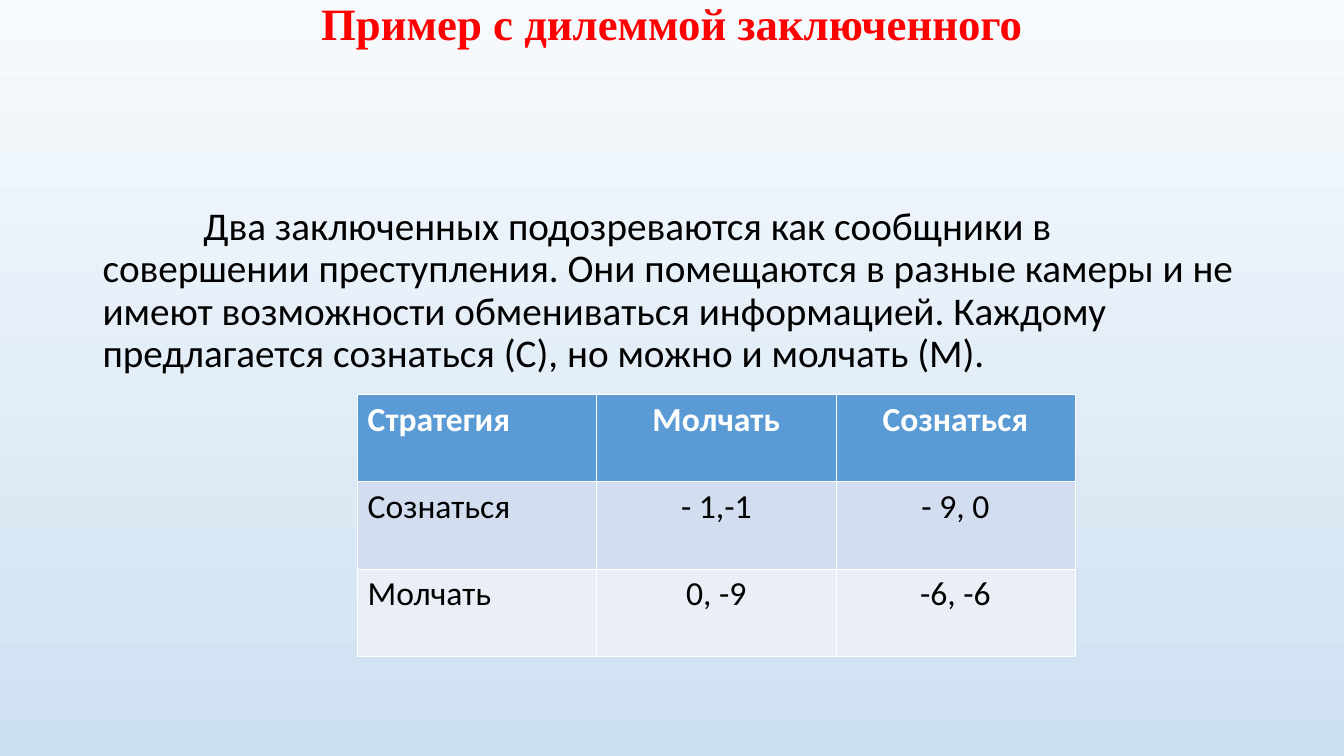
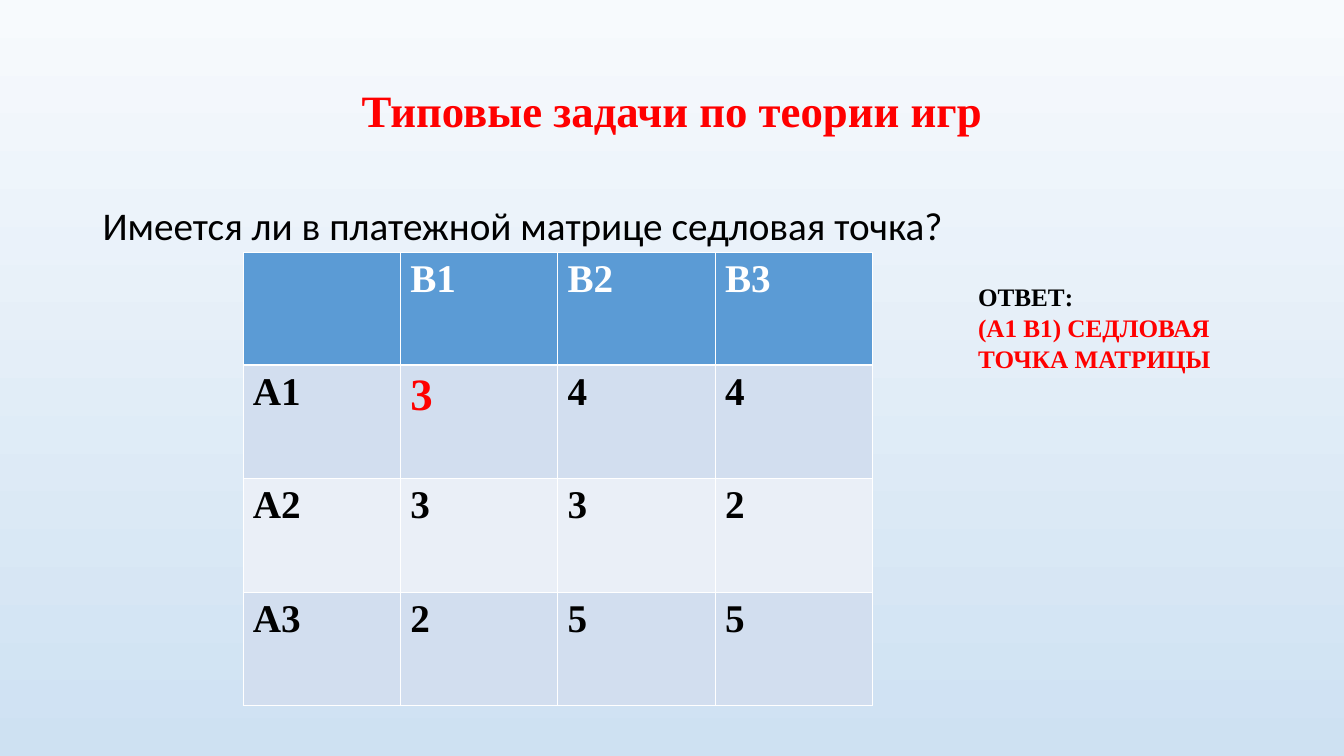
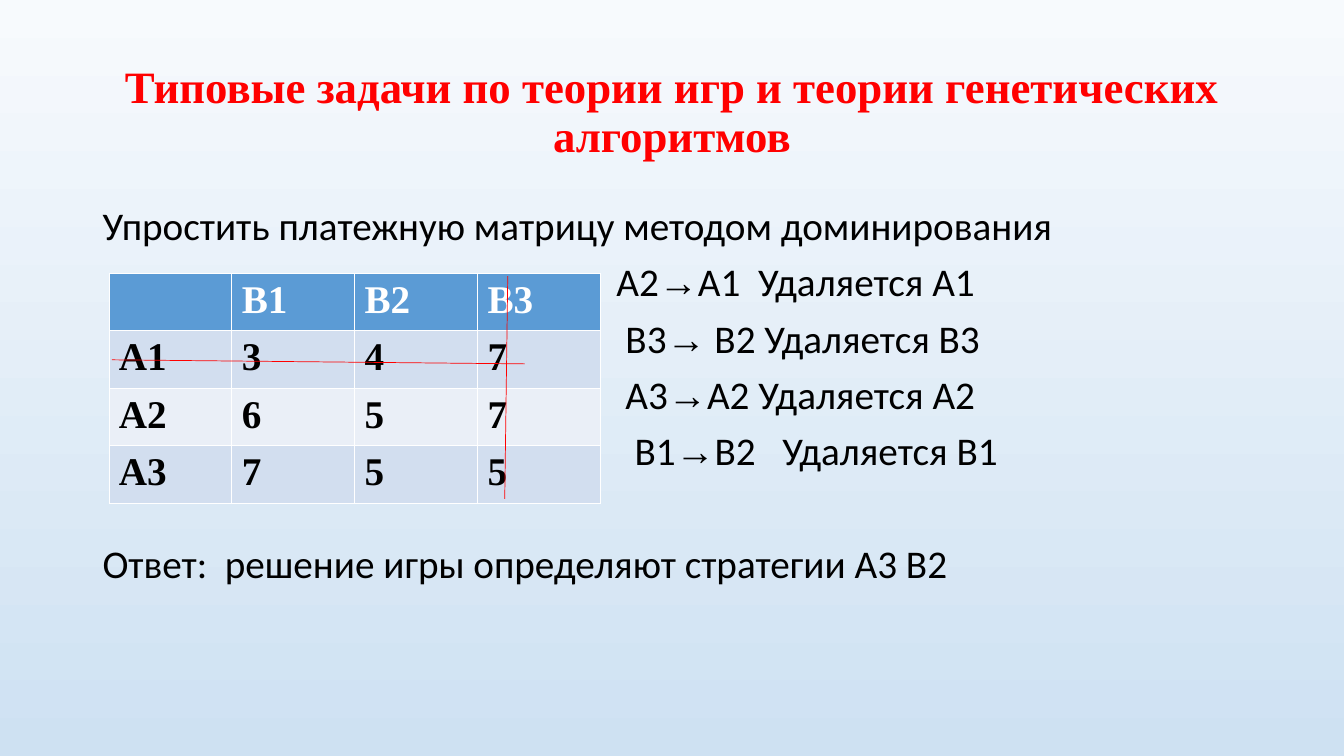
from lxml.etree import SubElement
from pptx import Presentation
from pptx.dml.color import RGBColor
from pptx.enum.shapes import MSO_CONNECTOR as Connector
from pptx.enum.text import MSO_ANCHOR as Anchor, PP_ALIGN as Align
from pptx.oxml.ns import qn
from pptx.util import Inches, Pt

RED = RGBColor(0xFF, 0x00, 0x00)
BLACK = RGBColor(0x00, 0x00, 0x00)
WHITE = RGBColor(0xFF, 0xFF, 0xFF)
HEADER_BLUE = RGBColor(0x5B, 0x9B, 0xD5)
BAND_DARK = RGBColor(0xD2, 0xDE, 0xEF)
BAND_LIGHT = RGBColor(0xEA, 0xEF, 0xF7)
SKY_TOP = RGBColor(0xF7, 0xFA, 0xFD)
SKY_BOTTOM = RGBColor(0xCE, 0xE1, 0xF2)

SERIF, SANS, SYMBOL = "Times New Roman", "Calibri", "Arial"
THIN, THICK = 0.45, 1.47
LEFT, WIDTH = 0.92, 11.5
TITLE_AREA = (LEFT, 0.4, WIDTH, 1.45)
BODY_AREA = (LEFT, 2, WIDTH, 4.76)
WIDE_GAP, WIDER_GAP = 6.3, 12.6

DILEMMA_TITLE = "Пример с дилеммой заключенного"
DILEMMA_TEXT = (
    "Два заключенных подозреваются как сообщники в совершении преступления. "
    "Они помещаются в разные камеры и не имеют возможности обмениваться "
    "информацией. Каждому предлагается сознаться (С), но можно и молчать (М)."
)
DILEMMA_ROWS = [
    ("Стратегия", "Молчать", "Сознаться"),
    ("Сознаться", "- 1,-1", "- 9, 0"),
    ("Молчать", "0, -9", "-6, -6"),
]

SADDLE_TITLE = "Типовые задачи по теории игр"
SADDLE_QUESTION = "Имеется ли в платежной матрице седловая точка?"
SADDLE_ROWS = [
    ("", "В1", "В2", "В3"),
    ("А1", "3", "4", "4"),
    ("А2", "3", "3", "2"),
    ("А3", "2", "5", "5"),
]
SADDLE_ANSWER = [("ОТВЕТ:", BLACK), ("(А1 В1) СЕДЛОВАЯ ТОЧКА МАТРИЦЫ", RED)]

DOMINANCE_TITLE = "Типовые задачи по теории игр и теории генетических алгоритмов"
DOMINANCE_TASK = "Упростить платежную матрицу методом доминирования"
DOMINANCE_ROWS = [
    ("", "В1", "В2", "В3"),
    ("А1", "3", "4", "7"),
    ("А2", "6", "5", "7"),
    ("А3", "7", "5", "5"),
]
DOMINANCE_STEPS = [
    ("А2", "A1", WIDE_GAP, "Удаляется А1", 5.1),
    ("В3", " B2", 0, "Удаляется B3", 5.19),
    ("A3", "A2", 0, "Удаляется А2", 5.19),
    ("B1", "B2", WIDER_GAP, "Удаляется B1", 5.28),
]
DOMINANCE_ANSWER = ("Ответ:", "решение игры определяют стратегии А3 В2")
STRIKES = [((1.11, 3.57), (5.21, 3.61)), ((5.04, 2.74), (5.01, 4.95))]


def add_run(paragraph, text, size, font=SANS, color=BLACK, bold=False, spacing=0):
    run = paragraph.add_run()
    run.text = text
    run.font.size = Pt(size)
    run.font.name = font
    run.font.color.rgb = color
    run.font.bold = bold
    if spacing:
        run._r.get_or_add_rPr().set("spc", str(round(spacing * 100)))


def add_frame(slide, area):
    frame = slide.shapes.add_textbox(*map(Inches, area)).text_frame
    frame.word_wrap = True
    return frame


def add_title(slide, text, area=TITLE_AREA):
    frame = add_frame(slide, area)
    frame.vertical_anchor = Anchor.MIDDLE
    paragraph = frame.paragraphs[0]
    paragraph.alignment = Align.CENTER
    paragraph.line_spacing = 0.9
    add_run(paragraph, text, 32, SERIF, RED, True)


def add_body(slide, entries):
    frame = add_frame(slide, BODY_AREA)
    for index, entry in enumerate(entries):
        paragraph = frame.add_paragraph() if index else frame.paragraphs[0]
        paragraph.line_spacing = 0.9
        if index:
            paragraph.space_before = Pt(entry.get("before", 10))
        properties = paragraph._p.get_or_add_pPr()
        properties.set("marL", "0")
        properties.set("indent", str(Inches(entry.get("indent", 0))))
        for text, font, spacing in entry["runs"]:
            add_run(paragraph, text, 28, font, spacing=spacing)


def add_borders(cell, row):
    widths = {
        "a:lnL": THIN,
        "a:lnR": THIN,
        "a:lnT": THICK if row == 1 else THIN,
        "a:lnB": THICK if row == 0 else THIN,
    }
    properties = cell._tc.get_or_add_tcPr()
    for tag, width in widths.items():
        line = SubElement(properties, qn(tag), w=str(Pt(width)))
        fill = SubElement(line, qn("a:solidFill"))
        SubElement(fill, qn("a:srgbClr"), val=str(WHITE))


def add_matrix(slide, rows, area, size, font, bold=False, centered=False, saddle=None):
    shape = slide.shapes.add_table(len(rows), len(rows[0]), *map(Inches, area))
    table = shape.table
    for row, values in enumerate(rows):
        for column, text in enumerate(values):
            cell = table.cell(row, column)
            add_borders(cell, row)
            cell.fill.solid()
            band = BAND_DARK if row % 2 else BAND_LIGHT
            cell.fill.fore_color.rgb = band if row else HEADER_BLUE
            paragraph = cell.text_frame.paragraphs[0]
            if centered and column:
                paragraph.alignment = Align.CENTER
            if (row, column) == saddle:
                add_run(paragraph, text, 32, font, RED, bold)
            elif text:
                color = BLACK if row else WHITE
                add_run(paragraph, text, size, font, color, bold or row == 0)


def add_strike(slide, start, end):
    line = slide.shapes.add_connector(
        Connector.STRAIGHT, *map(Inches, start), *map(Inches, end)
    )
    line.line.color.rgb = RED
    line.line.width = Pt(0.5)
    SubElement(line._element.spPr, qn("a:effectLst"))


def paint_background(master):
    fill = master.background.fill
    fill.gradient()
    fill.gradient_angle = 270
    for stop, color, position in zip(fill.gradient_stops, (SKY_TOP, SKY_BOTTOM), (0, 1)):
        stop.color.rgb = color
        stop.position = position


def build_dilemma(slide):
    add_title(slide, DILEMMA_TITLE, (LEFT, 0, WIDTH, 0.51))
    add_body(slide, [{"runs": [(DILEMMA_TEXT, SANS, 0)], "indent": 1}])
    add_matrix(slide, DILEMMA_ROWS, (3.55, 3.91, 7.12, 2.6), 24, SANS, centered=True)


def build_saddle(slide):
    add_title(slide, SADDLE_TITLE)
    add_body(slide, [{"runs": [(SADDLE_QUESTION, SANS, 0)]}])
    add_matrix(
        slide, SADDLE_ROWS, (2.41, 2.5, 6.25, 4.5), 28, SERIF, bold=True, saddle=(1, 1)
    )
    frame = add_frame(slide, (9.61, 2.74, 3.37, 1.3))
    for index, (text, color) in enumerate(SADDLE_ANSWER):
        paragraph = frame.add_paragraph() if index else frame.paragraphs[0]
        paragraph.line_spacing = Pt(22)
        add_run(paragraph, text, 18, SERIF, color, True)


def spaced(before, gap, after):
    return [(before, SANS, 0), (" ", SANS, gap), (after, SANS, 0)]


def build_dominance(slide):
    add_title(slide, DOMINANCE_TITLE)
    steps = [
        {
            "runs": [(start, SANS, 0), ("→", SYMBOL, 0), *spaced(end, gap, removal)],
            "indent": indent,
        }
        for start, end, gap, removal, indent in DOMINANCE_STEPS
    ]
    label, solution = DOMINANCE_ANSWER
    task = {"runs": [(DOMINANCE_TASK, SANS, 0)]}
    answer = {"runs": spaced(label, WIDE_GAP, solution), "before": 50.5}
    add_body(slide, [task, *steps, answer])
    add_matrix(slide, DOMINANCE_ROWS, (1.08, 2.71, 4.88, 2.28), 28, SERIF, bold=True)
    for start, end in STRIKES:
        add_strike(slide, start, end)


def main():
    presentation = Presentation()
    presentation.slide_width = Inches(13.34)
    presentation.slide_height = Inches(7.5)
    paint_background(presentation.slide_master)
    for build in (build_dilemma, build_saddle, build_dominance):
        build(presentation.slides.add_slide(presentation.slide_layouts[6]))
    presentation.save("out.pptx")


if __name__ == "__main__":
    main()
